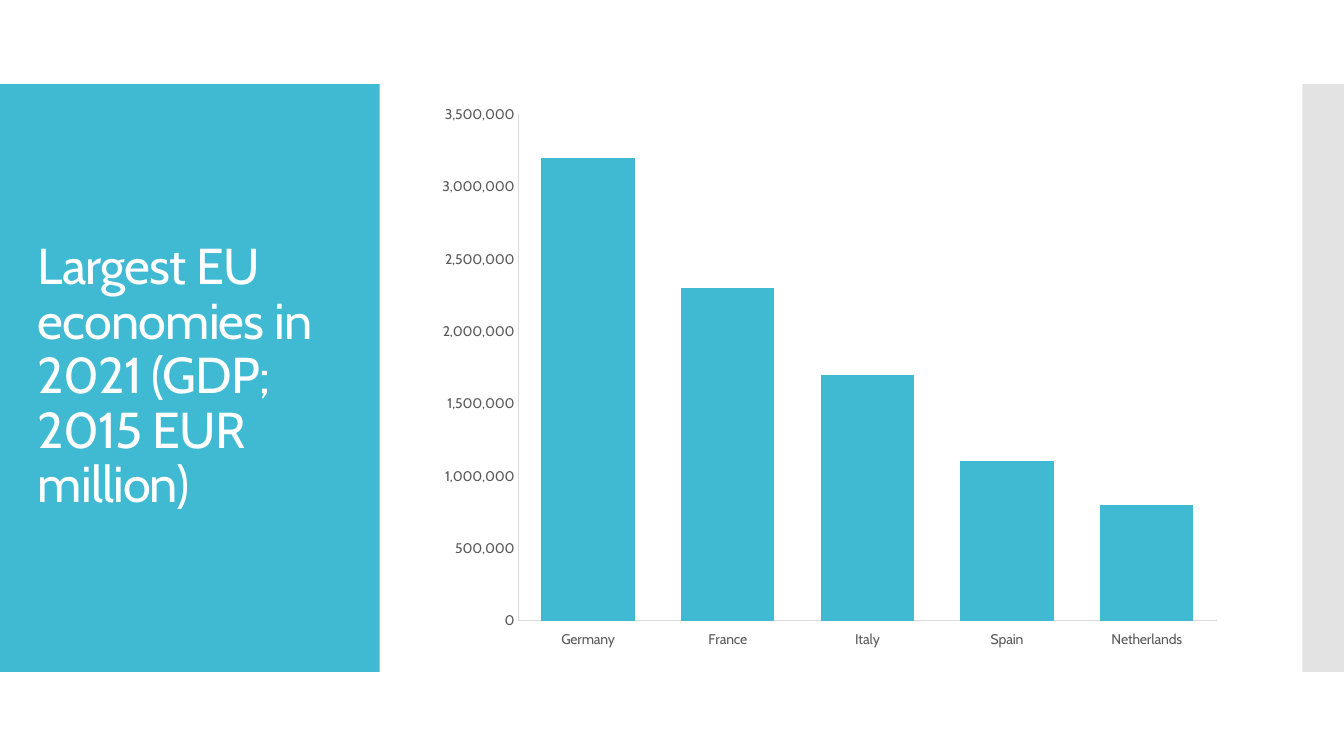
from dataclasses import dataclass

from lxml import etree
from pptx import Presentation
from pptx.chart.data import CategoryChartData
from pptx.dml.color import RGBColor
from pptx.enum import chart as charts, shapes, text
from pptx.oxml import ns
from pptx.util import Pt


@dataclass(frozen=True)
class Theme:
    """Colours, font and type sizes of the slide."""
    accent: str = "40BAD2"
    edge: str = "C8C8C8"
    axis_line: str = "D9D9D9"
    axis_text: str = "595959"
    title_text: str = "FFFFFF"
    font: str = "Cabin"
    title_size: int = 36
    axis_size: int = 10


THEME = Theme()
GDP = {
    "Germany": 3200000,
    "France": 2300000,
    "Italy": 1700000,
    "Spain": 1100000,
    "Netherlands": 800000,
}


def style_font(font, size, color):
    """Apply the theme font with a size and colour."""
    font.name = THEME.font
    font.size = Pt(size)
    font.color.rgb = RGBColor.from_string(color)


def add_panel(slide, left, width, color, opacity=100):
    """Add a borderless vertical panel across the content band."""
    panel = slide.shapes.add_shape(
        shapes.MSO_SHAPE.RECTANGLE, Pt(left), Pt(60), Pt(width), Pt(420))
    panel.shadow.inherit = False
    panel.fill.solid()
    panel.fill.fore_color.rgb = RGBColor.from_string(color)
    panel.line.fill.background()
    if opacity < 100:
        fill_color = panel.fill._xPr.find(".//" + ns.qn("a:srgbClr"))
        alpha = etree.SubElement(fill_color, ns.qn("a:alpha"))
        alpha.set("val", str(opacity * 1000))


def add_title(slide, wording):
    """Add the title, vertically centred on the accent panel."""
    box = slide.shapes.add_textbox(Pt(20), Pt(88.5), Pt(232), Pt(362))
    frame = box.text_frame
    frame.word_wrap = True
    frame.vertical_anchor = text.MSO_ANCHOR.MIDDLE
    paragraph = frame.paragraphs[0]
    paragraph.line_spacing = 0.9
    run = paragraph.add_run()
    run.text = wording
    style_font(run.font, THEME.title_size, THEME.title_text)
    run.font._element.set("spc", "-60")


def style_axis(axis, number_format):
    """Give an axis its thin line, labels and number format."""
    axis.has_major_gridlines = False
    axis.major_tick_mark = charts.XL_TICK_MARK.NONE
    axis.minor_tick_mark = charts.XL_TICK_MARK.NONE
    axis.format.line.width = Pt(1)
    axis.format.line.color.rgb = RGBColor.from_string(THEME.axis_line)
    style_font(axis.tick_labels.font, THEME.axis_size, THEME.axis_text)
    axis.tick_labels.number_format = number_format
    axis.tick_labels.number_format_is_linked = False


def add_column_chart(slide, values):
    """Add the column chart of one value per country."""
    data = CategoryChartData(number_format="#,##0")
    data.categories = list(values)
    data.add_series("Series 1", list(values.values()))
    chart = slide.shapes.add_chart(
        charts.XL_CHART_TYPE.COLUMN_CLUSTERED,
        Pt(304.5), Pt(67.5), Pt(576), Pt(403), data).chart
    chart.has_title = False
    chart.has_legend = False
    style_font(chart.font, THEME.axis_size, THEME.axis_text)
    style_axis(chart.category_axis, "General")
    chart.category_axis.tick_label_position = charts.XL_TICK_LABEL_POSITION.LOW
    style_axis(chart.value_axis, "#,##0")
    chart.value_axis.minimum_scale = 0
    chart.value_axis.maximum_scale = 3500000
    chart.value_axis.major_unit = 500000
    plot = chart.plots[0]
    plot.gap_width = 50
    plot.vary_by_categories = False
    fill = plot.series[0].format.fill
    fill.solid()
    fill.fore_color.rgb = RGBColor.from_string(THEME.accent)


def main():
    """Build the slide and save it."""
    presentation = Presentation()
    presentation.slide_width = Pt(960)
    presentation.slide_height = Pt(540)
    slide = presentation.slides.add_slide(presentation.slide_layouts[6])
    add_panel(slide, 0, 271.2, THEME.accent)
    add_panel(slide, 930.2, 29.8, THEME.edge, opacity=50)
    add_title(slide, "Largest EU economies in 2021 (GDP; 2015 EUR million)")
    add_column_chart(slide, GDP)
    presentation.save("out.pptx")


if __name__ == "__main__":
    main()
